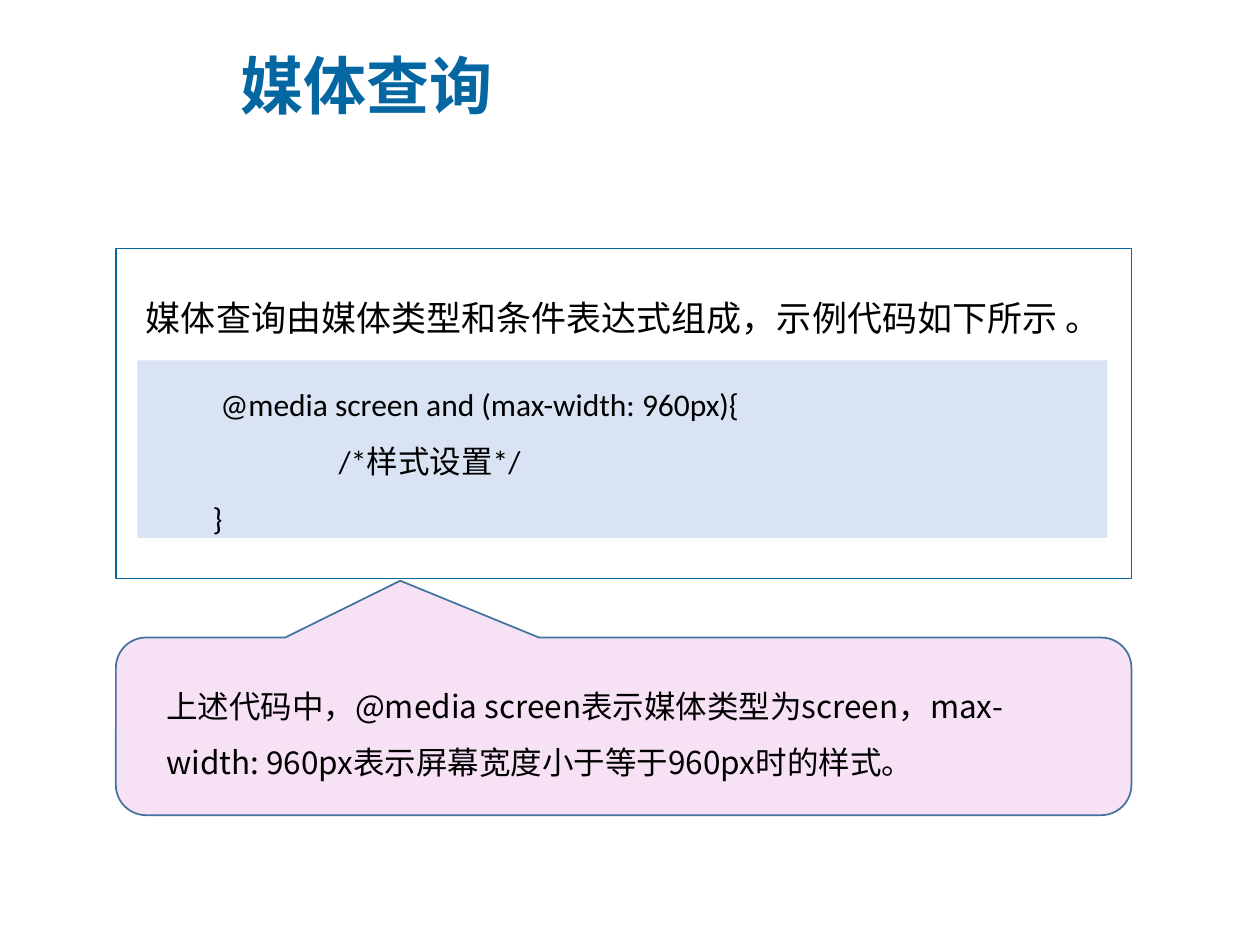
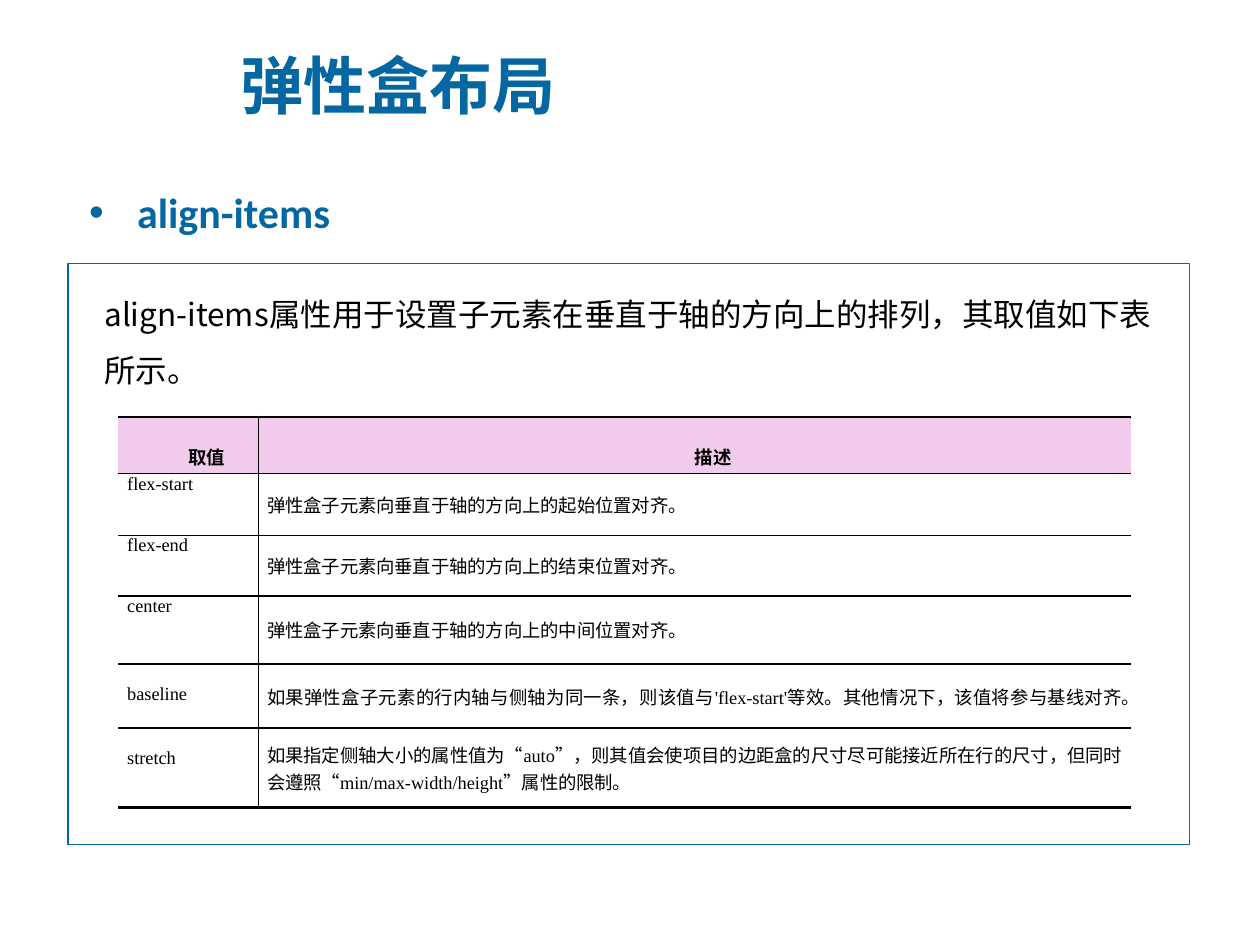
from collections import namedtuple

from lxml import etree
from pptx import Presentation
from pptx import util as u
from pptx.dml.color import RGBColor
from pptx.enum import shapes, text
from pptx.oxml import ns

BLUE = RGBColor(0x05, 0x67, 0xA2)
CALLOUT_LINE = RGBColor(0x43, 0x73, 0x9E)
BLACK = RGBColor(0, 0, 0)
WHITE = RGBColor(0xFF, 0xFF, 0xFF)
CODE_FILL = RGBColor(0xDA, 0xE3, 0xF3)
CALLOUT_FILL = RGBColor(0xF7, 0xE1, 0xF4)
HEADER_FILL = RGBColor(0xF1, 0xCB, 0xEC)

CJK, LATIN, SERIF = "Noto Sans CJK SC", "Calibri", "Times New Roman"

# Grid of 100 columns by 75 rows on a 10 by 7.5 inch slide
SLIDE_WIDTH, SLIDE_HEIGHT = u.Inches(10), u.Inches(7.5)
COLUMN, ROW = SLIDE_WIDTH / 100, SLIDE_HEIGHT / 75

Box = namedtuple("Box", "left top width height")
TITLE_BOX = Box(18.1, 2.7, 81.8, 7.9)

# Text formats
TITLE = {"name": CJK, "size": u.Pt(36), "bold": True, "color": BLUE}
TOPIC = {"name": LATIN, "size": u.Pt(24), "bold": True, "color": BLUE}
LEAD = {"name": CJK, "size": u.Pt(20), "color": BLACK}
BODY = {"name": CJK, "size": u.Pt(18), "color": BLACK}
CODE = {"name": LATIN, "size": u.Pt(18), "color": BLACK}
CELL = {"name": SERIF, "size": u.Pt(10.5), "bold": False, "color": BLACK}
HEADER = {**CELL, "bold": True}

VALUES = [
    ("取值", "描述"),
    ("flex-start", "弹性盒子元素向垂直于轴的方向上的起始位置对齐。"),
    ("flex-end", "弹性盒子元素向垂直于轴的方向上的结束位置对齐。"),
    ("center", "弹性盒子元素向垂直于轴的方向上的中间位置对齐。"),
    ("baseline", "如果弹性盒子元素的行内轴与侧轴为同一条，则该值与'flex-start'等效。"
                 "其他情况下，该值将参与基线对齐。"),
    ("stretch", "如果指定侧轴大小的属性值为“auto”，则其值会使项目的边距盒的尺寸尽可能接近"
                "所在行的尺寸，但同时会遵照“min/max-width/height”属性的限制。"),
]
VALUE_COLUMNS = (11.1, 69.3)
VALUE_ROWS = (4.5, 4.9, 4.8, 5.4, 5.1, 6.3)
TALL_LABELS = {"baseline", "stretch"}


def inside(box, left, top, width, height):
    """Box whose corner is offset from the corner of another box."""
    return Box(box.left + left, box.top + top, width, height)


def emu(box):
    return (round(box.left * COLUMN), round(box.top * ROW),
            round(box.width * COLUMN), round(box.height * ROW))


def add_child(parent, tag, **attributes):
    return etree.SubElement(parent, ns.qn(tag), attributes)


def write(paragraph, words, style, spacing=None, align=None, margin=0, indent=0):
    run = paragraph.add_run()
    run.text = words
    for key, value in style.items():
        if key == "color":
            run.font.color.rgb = value
        else:
            setattr(run.font, key, value)
    add_child(run.font._element, "a:ea", typeface=CJK)
    for key, value in {"line_spacing": spacing, "alignment": align}.items():
        setattr(paragraph, key, value)
    properties = paragraph._p.get_or_add_pPr()
    properties.set("marL", str(round(margin * COLUMN)))
    properties.set("indent", str(round(indent * COLUMN)))
    return properties


def add_text(slide, box, words, style, wrap=True, anchor=text.MSO_ANCHOR.TOP, **layout):
    frame = slide.shapes.add_textbox(*emu(box)).text_frame
    frame.word_wrap = wrap
    frame.vertical_anchor = anchor
    write(frame.paragraphs[0], words, style, **layout)
    return frame.paragraphs[0]


def add_block(slide, box, fill, line=None, weight=0.75,
              kind=shapes.MSO_SHAPE.RECTANGLE):
    block = slide.shapes.add_shape(kind, *emu(box))
    block.shadow.inherit = False
    block.fill.solid()
    block.fill.fore_color.rgb = fill
    if line is None:
        block.line.fill.background()
    else:
        block.line.color.rgb = line
        block.line.width = u.Pt(weight)
    return block


def add_panel(slide, box):
    panel = add_block(slide, box, WHITE, BLUE)
    fill_color = panel._element.spPr.find(ns.qn("a:solidFill"))[0]
    add_child(fill_color, "a:alpha", val="90000")


def titled_slide(deck, title):
    slide = deck.slides.add_slide(deck.slide_layouts[6])
    add_text(slide, TITLE_BOX, title, TITLE, anchor=text.MSO_ANCHOR.MIDDLE)
    return slide


def code_panel(slide, box):
    add_panel(slide, box)
    add_text(slide, inside(box, 1.4, 1.7, 84.9, 5.3),
             "媒体查询由媒体类型和条件表达式组成，示例代码如下所示 。", LEAD, spacing=1.5)

    # Code sample: each line with its own indent
    sample = add_block(slide, inside(box, 1.7, 8.9, 77, 14.1), CODE_FILL).text_frame
    sample.word_wrap = True
    sample.vertical_anchor = text.MSO_ANCHOR.TOP
    lines = [("@media screen and (max-width: 960px){", 5.6),
             ("/*样式设置*/", 15), ("}", 5)]
    for number, (line, margin) in enumerate(lines):
        paragraph = sample.add_paragraph() if number else sample.paragraphs[0]
        write(paragraph, line, CODE, spacing=1.5, margin=margin,
              align=text.PP_ALIGN.LEFT)


def explanation(slide, box):
    callout = add_block(slide, box, CALLOUT_FILL, CALLOUT_LINE, 1,
                        shapes.MSO_SHAPE.ROUNDED_RECTANGULAR_CALLOUT)
    for number, value in enumerate((-0.22, -0.82, 0.17)):
        callout.adjustments[number] = value
    add_text(slide, inside(box, 3, 1.9, 73.9, 10.1),
             "上述代码中，@media screen表示媒体类型为screen，"
             "max-width: 960px表示屏幕宽度小于等于960px时的样式。", BODY, spacing=1.5)


def topic(slide, box, words):
    paragraph = add_text(slide, box, words, TOPIC, wrap=False, spacing=1.5,
                         margin=3.8, indent=-3.8)
    paragraph.space_before = u.Pt(4.8)
    properties = paragraph._p.get_or_add_pPr()
    add_child(properties, "a:buFont", typeface="Arial")
    add_child(properties, "a:buChar", char="•")


def set_borders(cell, widths):
    """Draw the black cell edges; an edge of width 0 stays empty."""
    properties = cell._tc.get_or_add_tcPr()
    for edge in "LRTB":
        width = widths[edge]
        line = add_child(properties, "a:ln" + edge, w=str(u.Pt(width)))
        if width:
            add_child(add_child(line, "a:solidFill"), "a:srgbClr", val=str(BLACK))
        else:
            add_child(line, "a:noFill")


def value_table(slide, box):
    table = slide.shapes.add_table(len(VALUES), len(VALUE_COLUMNS), *emu(box)).table
    table.first_row = table.horz_banding = False
    for column, width in zip(table.columns, VALUE_COLUMNS):
        column.width = round(width * COLUMN)
    for row, height in zip(table.rows, VALUE_ROWS):
        row.height = round(height * ROW)

    last = len(VALUES) - 1
    for r, row in enumerate(VALUES):
        for c, words in enumerate(row):
            cell = table.cell(r, c)
            for key, value in {"margin_left": u.Inches(0.07),
                               "margin_right": u.Inches(0.07),
                               "margin_top": 0, "margin_bottom": 0}.items():
                setattr(cell, key, value)
            set_borders(cell, {"L": c, "R": 1 - c, "T": 1 if r else 1.5,
                               "B": 1.5 if r == last else 1})
            paragraph = cell.text_frame.paragraphs[0]
            if r == 0:
                cell.fill.solid()
                cell.fill.fore_color.rgb = HEADER_FILL
                write(paragraph, words, HEADER, spacing=2.0, indent=2.9,
                      align=text.PP_ALIGN.CENTER)
                continue
            cell.fill.background()
            if c == 0:
                write(paragraph, words, CELL,
                      spacing=2.0 if words in TALL_LABELS else None)
            else:
                cell.vertical_anchor = text.MSO_ANCHOR.MIDDLE
                write(paragraph, words, CELL, align=text.PP_ALIGN.JUSTIFY)


def property_panel(slide, box):
    add_panel(slide, box)
    add_text(slide, inside(box, 1.9, 0.5, 86.3, 9.5),
             "align-items属性用于设置子元素在垂直于轴的方向上的排列，其取值如下表所示。",
             BODY, spacing=1.5)
    value_table(slide, inside(box, 4, 12.2, sum(VALUE_COLUMNS), sum(VALUE_ROWS)))


def main():
    deck = Presentation()
    deck.slide_width, deck.slide_height = SLIDE_WIDTH, SLIDE_HEIGHT

    # Media queries
    media = titled_slide(deck, "媒体查询")
    code_panel(media, Box(9.2, 19.7, 80.6, 26.2))
    explanation(media, Box(9.2, 50.6, 80.6, 14.1))

    # Flexible box layout
    flex = titled_slide(deck, "弹性盒布局")
    topic(flex, Box(6.1, 12.3, 21.3, 6.4), "align-items")
    property_panel(flex, Box(5.4, 20.9, 89, 46.1))

    deck.save("out.pptx")


if __name__ == "__main__":
    main()
